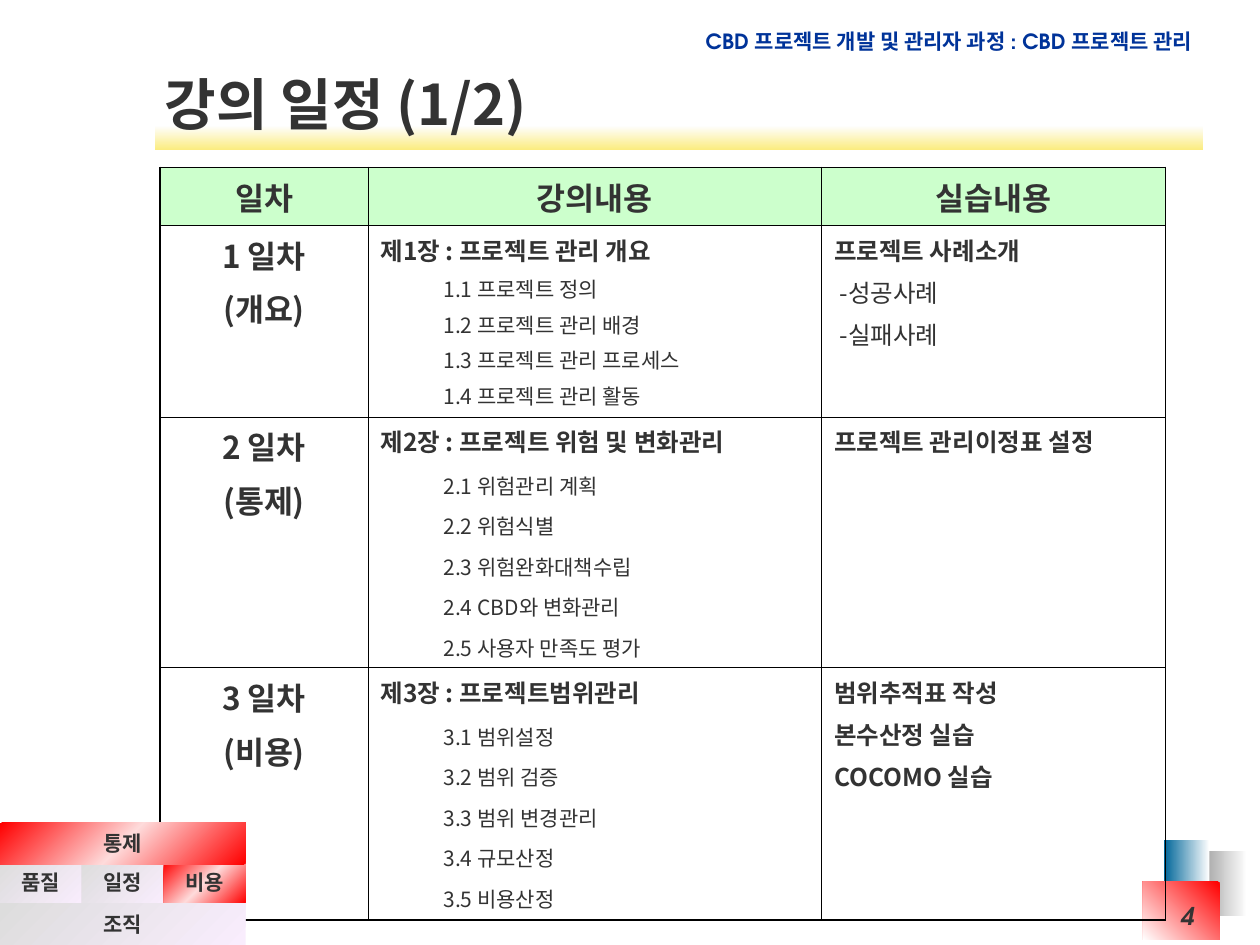
from lxml.etree import SubElement
from pptx import Presentation
from pptx.dml.color import RGBColor
from pptx.enum.shapes import MSO_SHAPE
from pptx.enum.text import MSO_ANCHOR, PP_ALIGN
from pptx.oxml import parse_xml
from pptx.oxml.ns import nsdecls, qn
from pptx.util import Inches, Pt

COLORS = {
    "text": "333333", "navy": "003399", "header": "CCFFCC", "line": "000000",
    "white": "FFFFFF", "gray": "969696", "teal": "006699", "red": "FF0000",
    "pink": "FEDBDB", "lilac": "F9EDFD", "silver": "DDDDDD",
    "cream": "FEFEFE", "yellow": "FBEC7F",
}
KOREAN, LATIN, LABEL = "Noto Sans CJK KR", "TeX Gyre Adventor", "Arial"
PLAIN = ("lilac", "silver")
ACTIVE = ("red", "pink", "red")

COLUMNS = [1.65, 3.6, 2.73]
ROWS = [0.46, 1.52, 1.99, 2]
HEADINGS = ["일차", "강의내용", "실습내용"]
DAYS = [
    (["1 일차", "(개요)"], "제1장 : 프로젝트 관리 개요",
     ["1.1 프로젝트 정의", "1.2 프로젝트 관리 배경",
      "1.3 프로젝트 관리 프로세스", "1.4 프로젝트 관리 활동"],
     [("프로젝트 사례소개", True), (" -성공사례", False), (" -실패사례", False)],
     (3.5, 3, 1.0)),
    (["2 일차", "(통제)"], "제2장 : 프로젝트 위험 및 변화관리",
     ["2.1 위험관리 계획", "2.2 위험식별", "2.3 위험완화대책수립",
      "2.4 CBD와 변화관리", "2.5 사용자 만족도 평가"],
     [("프로젝트 관리이정표 설정", True)],
     (8.8, 7.5, 0.9)),
    (["3 일차", "(비용)"], "제3장 : 프로젝트범위관리",
     ["3.1 범위설정", "3.2 범위 검증", "3.3 범위 변경관리",
      "3.4 규모산정", "3.5 비용산정"],
     [("범위추적표 작성", True), ("본수산정 실습", True), ("COCOMO 실습", True)],
     (8.8, 7.5, 0.9)),
]


def add_paragraph(tf, text, size, font=KOREAN, color="text", bold=True, italic=False,
                  align=PP_ALIGN.LEFT, before=0, spacing=1.0, indent=0):
    """Write one paragraph, using the empty first one if it is free."""
    p = tf.paragraphs[0] if not tf.paragraphs[0].runs else tf.add_paragraph()
    p.alignment, p.space_before, p.line_spacing = align, Pt(before), spacing
    if indent:
        p.level = 1
        pPr = p._p.get_or_add_pPr()
        pPr.set("marL", str(Inches(indent)))
        pPr.set("indent", "0")
    r = p.add_run()
    r.text = text
    r.font.name, r.font.size = font, Pt(size)
    r.font.bold, r.font.italic = bold, italic
    r.font.color.rgb = RGBColor.from_string(COLORS[color])
    SubElement(r._r.get_or_add_rPr(), qn("a:ea")).set("typeface", KOREAN)


def add_text(s, box, text, size, anchor=MSO_ANCHOR.TOP, **style):
    """Add a text box with a single paragraph."""
    tf = s.shapes.add_textbox(*map(Inches, box)).text_frame
    tf.word_wrap, tf.vertical_anchor = True, anchor
    add_paragraph(tf, text, size, **style)


def add_gradient_box(s, box, colors, angle):
    """Add a borderless rectangle with evenly spaced gradient stops."""
    sp = s.shapes.add_shape(MSO_SHAPE.RECTANGLE, *map(Inches, box))
    sp.shadow.inherit = False
    sp.line.fill.background()
    stops = "".join(
        f'<a:gs pos="{100000 * i // (len(colors) - 1)}"><a:srgbClr val="{COLORS[c]}"/></a:gs>'
        for i, c in enumerate(colors))
    grad = parse_xml(f'<a:gradFill {nsdecls("a")} rotWithShape="1"><a:gsLst>{stops}</a:gsLst>'
                     f'<a:lin ang="{angle * 60000}" scaled="1"/></a:gradFill>')
    sp._element.spPr.find(qn("a:prstGeom")).addnext(grad)
    return sp


def add_backdrop(s):
    """Place the corner squares, the title bar and the course name."""
    add_gradient_box(s, (9.5, 6.75, 0.4, 0.52), ("white", "gray"), 180)
    add_gradient_box(s, (9.24, 6.67, 0.36, 0.52), ("white", "teal"), 180)
    add_gradient_box(s, (9.07, 7, 0.61, 0.46), ("red", "white"), 135)
    add_gradient_box(s, (1.23, 1, 8.32, 0.19), ("cream", "yellow"), 90)
    add_text(s, (5.4, 0.18, 4.16, 0.3), "CBD 프로젝트 개발 및 관리자 과정 : CBD 프로젝트 관리",
             12, font=LATIN, color="navy", align=PP_ALIGN.RIGHT)


def set_borders(cell, edges):
    """Draw the four cell borders, thicker on the outer edges."""
    tcPr = cell._tc.get_or_add_tcPr()
    for side in "LRTB":
        ln = SubElement(tcPr, qn(f"a:ln{side}"), w=str(Pt(1.13 if side in edges else 0.45)))
        fill = SubElement(ln, qn("a:solidFill"))
        SubElement(fill, qn("a:srgbClr"), val=COLORS["line"])


def add_schedule(s, left, top):
    """Place the timetable of days, lectures and exercises."""
    table = s.shapes.add_table(len(ROWS), len(COLUMNS), Inches(left), Inches(top),
                               Inches(sum(COLUMNS)), Inches(sum(ROWS))).table
    table.first_row = table.horz_banding = False
    for col, width in zip(table.columns, COLUMNS):
        col.width = Inches(width)
    for row, height in zip(table.rows, ROWS):
        row.height = Inches(height)
    for i in range(len(ROWS)):
        for j in range(len(COLUMNS)):
            cell = table.cell(i, j)
            edges = {0: "T", len(ROWS) - 1: "B"}.get(i, "") + {0: "L", len(COLUMNS) - 1: "R"}.get(j, "")
            set_borders(cell, edges)
            cell.fill.background()
            cell.vertical_anchor = MSO_ANCHOR.MIDDLE if i == 0 or j == 1 else MSO_ANCHOR.TOP
    for j, heading in enumerate(HEADINGS):
        cell = table.cell(0, j)
        cell.fill.solid()
        cell.fill.fore_color.rgb = RGBColor.from_string(COLORS["header"])
        add_paragraph(cell.text_frame, heading, 18, align=PP_ALIGN.CENTER, before=4.5)
    for i, (day, chapter, topics, exercises, gaps) in enumerate(DAYS, 1):
        day_tf, lecture_tf, exercise_tf = (table.cell(i, j).text_frame for j in range(3))
        chapter_gap, topic_gap, spacing = gaps
        for text in day:
            add_paragraph(day_tf, text, 18, align=PP_ALIGN.CENTER, before=4.5)
        add_paragraph(lecture_tf, chapter, 14, align=PP_ALIGN.JUSTIFY, before=chapter_gap)
        for text in topics:
            add_paragraph(lecture_tf, text, 12, bold=False, align=PP_ALIGN.JUSTIFY,
                          before=topic_gap, spacing=spacing, indent=0.5)
        for text, bold in exercises:
            add_paragraph(exercise_tf, text, 14, bold=bold, before=3.5)


def add_navigator(s, left, top, width):
    """Place the labelled blocks that mark the current topic."""
    third, height = width / 3, 0.33
    middle = top + 0.31
    blocks = [(name, (left + k * third, middle, third, height), colors)
              for k, (name, colors) in enumerate(
                  [("품질", PLAIN), ("일정", PLAIN), ("비용", ACTIVE)])]
    blocks += [("조직", (left, middle + height, width, height), PLAIN),
               ("통제", (left, top, width, height), ACTIVE)]
    for name, box, colors in blocks:
        tf = add_gradient_box(s, box, colors, 225).text_frame
        tf.word_wrap, tf.vertical_anchor = False, MSO_ANCHOR.MIDDLE
        add_paragraph(tf, name, 12, font=LABEL, align=PP_ALIGN.CENTER, before=3)


def main():
    """Build the slide and save it."""
    prs = Presentation()
    prs.slide_width, prs.slide_height = Inches(10), Inches(7.5)
    s = prs.slides.add_slide(prs.slide_layouts[6])
    add_backdrop(s)
    add_text(s, (1.21, 0.51, 8.32, 0.61), "강의 일정 (1/2)", 32, anchor=MSO_ANCHOR.MIDDLE)
    add_schedule(s, 1.27, 1.33)
    add_navigator(s, 0, 6.53, 1.95)
    add_text(s, (8.35, 7.1, 1.23, 0.4), "4", 14, font=LATIN, italic=True, align=PP_ALIGN.RIGHT)
    prs.save("out.pptx")


if __name__ == "__main__":
    main()
